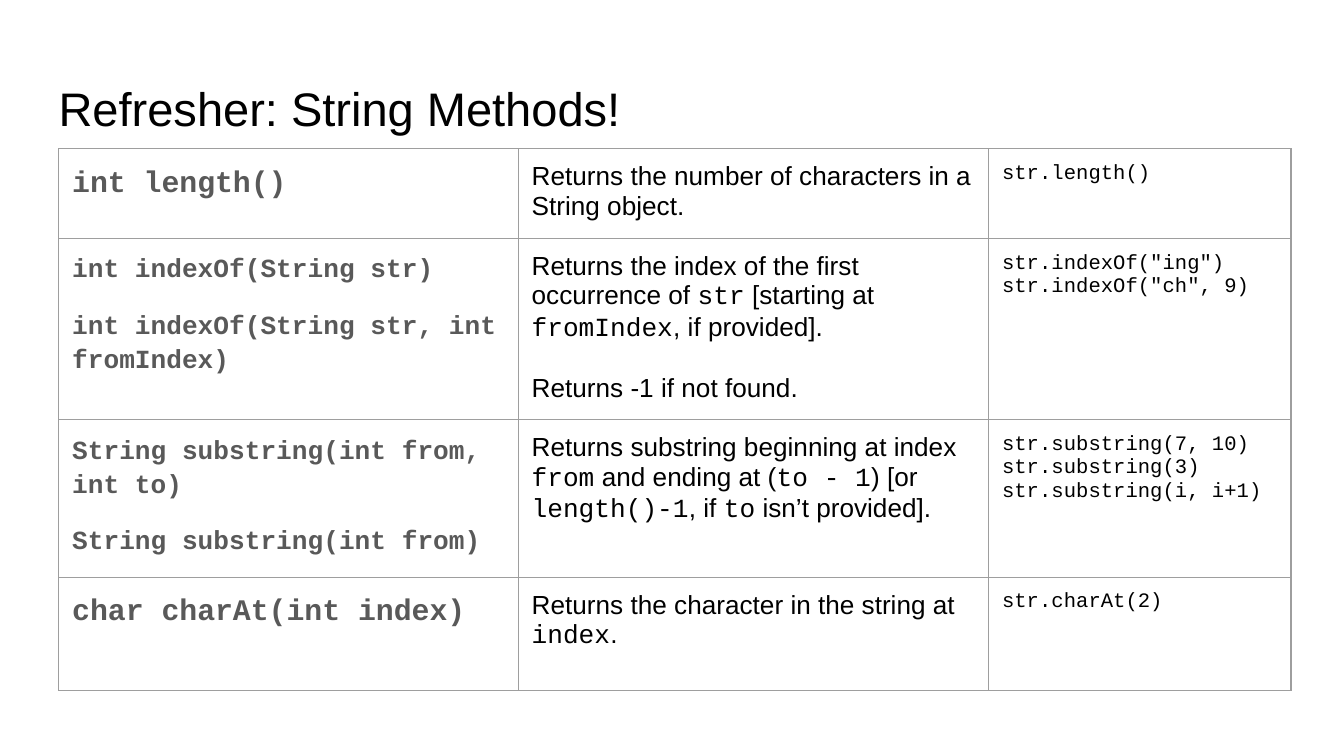
from lxml.etree import SubElement
from pptx import Presentation
from pptx.dml.color import RGBColor
from pptx.enum.text import MSO_ANCHOR
from pptx.oxml.ns import qn
from pptx.util import Pt

PX = 5715
BLACK = RGBColor(0x00, 0x00, 0x00)
SIGNATURE_GRAY = RGBColor(0x59, 0x59, 0x59)
BORDER_GRAY = RGBColor(0x9E, 0x9E, 0x9E)
PROSE_FONT = "Arial"
CODE_FONT = "Courier New"
INSET = 16
COLUMNS = [547, 560, 360]
ROWS = [96, 144, 144, 135]

METHODS = [
    (16, ["int length()"],
     ["Returns the number of characters in a String object."],
     ["str.length()"]),
    (14, ["int indexOf(String str)", "int indexOf(String str, int fromIndex)"],
     ["Returns the index of the first occurrence of `str` [starting at `fromIndex`, if provided].",
      "Returns -1 if not found."],
     ['str.indexOf("ing")', 'str.indexOf("ch", 9)']),
    (14, ["String substring(int from, int to)", "String substring(int from)"],
     ["Returns substring beginning at index `from` and ending at (`to - 1`) "
      "[or `length()-1`, if `to` isn’t provided]."],
     ["str.substring(7, 10)", "str.substring(3)", "str.substring(i, i+1)"]),
    (16, ["char charAt(int index)"],
     ["Returns the character in the string at `index`."],
     ["str.charAt(2)"]),
]


def set_insets(frame):
    frame.margin_left = frame.margin_right = INSET * PX
    frame.margin_top = frame.margin_bottom = INSET * PX


def style_run(run, font, size, color=BLACK, bold=False):
    run.font.name = font
    run.font.size = Pt(size)
    run.font.color.rgb = color
    run.font.bold = bold


def style_cell(cell):
    properties = cell._tc.get_or_add_tcPr()
    for side in ("a:lnL", "a:lnR", "a:lnT", "a:lnB"):
        border = SubElement(properties, qn(side), w=str(Pt(0.75)))
        fill = SubElement(border, qn("a:solidFill"))
        SubElement(fill, qn("a:srgbClr"), val=str(BORDER_GRAY))
    cell.fill.background()
    set_insets(cell)


def write_signatures(cell, signatures, size):
    cell.text_frame.text = "\n".join(signatures)
    paragraphs = cell.text_frame.paragraphs
    for paragraph in paragraphs:
        paragraph.line_spacing = 1.15
        style_run(paragraph.runs[0], CODE_FONT, size, SIGNATURE_GRAY, True)
    for paragraph in paragraphs[1:]:
        paragraph.space_before = Pt(12)
    paragraphs[-1].space_after = Pt(12)


def write_description(cell, sentences):
    for index, sentence in enumerate(sentences):
        frame = cell.text_frame
        paragraph = frame.add_paragraph() if index else frame.paragraphs[0]
        if index:
            paragraph.space_before = Pt(15.5)
        for position, piece in enumerate(sentence.split("`")):
            run = paragraph.add_run()
            run.text = piece
            style_run(run, CODE_FONT if position % 2 else PROSE_FONT, 14)


def write_examples(cell, examples):
    cell.text_frame.text = "\n".join(examples)
    for paragraph in cell.text_frame.paragraphs:
        style_run(paragraph.runs[0], CODE_FONT, 11)


def add_title(slide, left, top, width, height):
    title = slide.shapes.add_textbox(left * PX, top * PX, width * PX, height * PX)
    frame = title.text_frame
    frame.word_wrap = True
    frame.vertical_anchor = MSO_ANCHOR.MIDDLE
    set_insets(frame)
    frame.text = "Refresher: String Methods!"
    style_run(frame.paragraphs[0].runs[0], PROSE_FONT, 25.2)


def add_methods(slide, left, top, width, height):
    frame = slide.shapes.add_table(len(ROWS), len(COLUMNS), left * PX, top * PX,
                                   width * PX, height * PX)
    methods = frame.table
    methods.first_row = methods.horz_banding = False
    for column, column_width in zip(methods.columns, COLUMNS):
        column.width = column_width * PX
    for row, row_height, method in zip(methods.rows, ROWS, METHODS):
        row.height = row_height * PX
        size, signatures, description, examples = method
        for cell in row.cells:
            style_cell(cell)
        write_signatures(row.cells[0], signatures, size)
        write_description(row.cells[1], description)
        write_examples(row.cells[2], examples)
    frame.width = width * PX
    frame.height = height * PX


def main():
    presentation = Presentation()
    presentation.slide_width = 1600 * PX
    presentation.slide_height = 900 * PX
    slide = presentation.slides.add_slide(presentation.slide_layouts[6])
    add_title(slide, 54, 78, 1491, 101)
    add_methods(slide, 70, 177, 525, 525)
    presentation.save("out.pptx")


if __name__ == "__main__":
    main()
